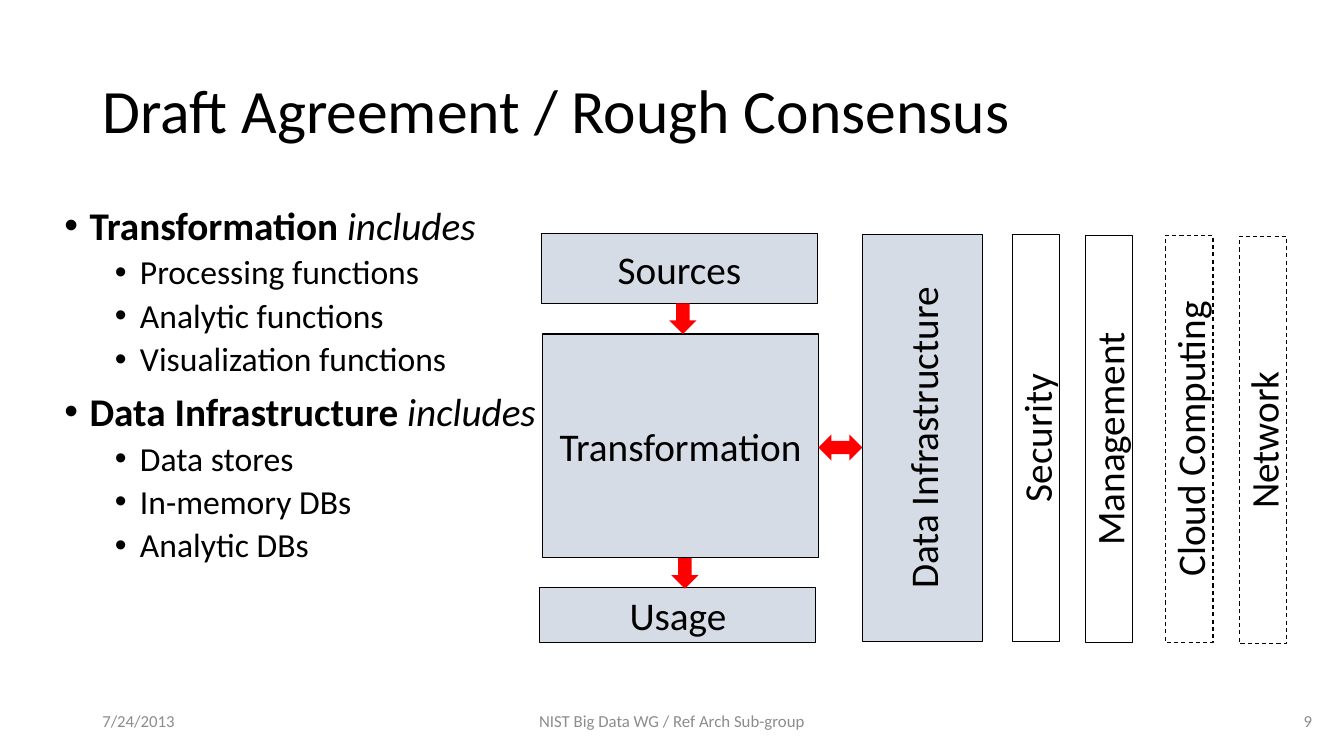
from lxml.etree import SubElement
from pptx import Presentation
from pptx.dml.color import RGBColor
from pptx.enum.dml import MSO_LINE
from pptx.enum.shapes import MSO_SHAPE
from pptx.enum.text import MSO_ANCHOR, PP_ALIGN
from pptx.oxml.ns import qn
from pptx.util import Pt

BLACK, GREY, RED, PALE_BLUE = "000000", "8C8C8C", "FF0000", "D6DCE5"

TOPICS = [
    ("Transformation ", ["Processing functions", "Analytic functions",
                         "Visualization functions"]),
    ("Data Infrastructure ", ["Data stores", "In-memory DBs", "Analytic DBs"]),
]


def color(hex_string):
    return RGBColor.from_string(hex_string)


def write(paragraph, text, size=28, ink=BLACK, bold=False, italic=False,
          align=PP_ALIGN.LEFT):
    paragraph.alignment = align
    run = paragraph.add_run()
    run.text = text
    font = run.font
    font.name, font.size = "Calibri", Pt(size)
    font.bold, font.italic = bold, italic
    font.color.rgb = color(ink)


def add_frame(slide, left, top, width, height, anchor=MSO_ANCHOR.MIDDLE):
    frame = slide.shapes.add_textbox(
        Pt(left), Pt(top), Pt(width), Pt(height)).text_frame
    frame.word_wrap = True
    frame.vertical_anchor = anchor
    return frame


def format_bullet(paragraph, level):
    paragraph.level = level
    paragraph.line_spacing = 0.9
    paragraph.space_before = Pt(5 if level else 10)
    properties = paragraph._p.get_or_add_pPr()
    properties.set("marL", str(Pt(18 + 36 * level)))
    properties.set("indent", str(Pt(-18)))
    SubElement(properties, qn("a:buFont"), typeface="Arial")
    SubElement(properties, qn("a:buChar"), char="•")


def add_topics(slide):
    frame = add_frame(slide, 38.9, 144, 408, 342.7, MSO_ANCHOR.TOP)
    paragraph = frame.paragraphs[0]
    for index, (topic, items) in enumerate(TOPICS):
        if index:
            paragraph = frame.add_paragraph()
        format_bullet(paragraph, 0)
        write(paragraph, topic, bold=True)
        write(paragraph, "includes", italic=True)
        for item in items:
            item_paragraph = frame.add_paragraph()
            format_bullet(item_paragraph, 1)
            write(item_paragraph, item, size=24)


def add_preset(slide, preset, left, top, width, height, fill=None):
    shape = slide.shapes.add_shape(
        preset, Pt(left), Pt(top), Pt(width), Pt(height))
    shape.shadow.inherit = False
    if fill:
        shape.fill.solid()
        shape.fill.fore_color.rgb = color(fill)
    else:
        shape.fill.background()
    return shape


def add_box(slide, label, left, top, width, height, fill=None, dashed=False):
    box = add_preset(slide, MSO_SHAPE.RECTANGLE, left, top, width, height, fill)
    box.line.color.rgb = color(BLACK)
    box.line.width = Pt(0.75)
    if dashed:
        box.line.dash_style = MSO_LINE.DASH
    box.text_frame.word_wrap = True
    box.text_frame.vertical_anchor = MSO_ANCHOR.MIDDLE
    write(box.text_frame.paragraphs[0], label, align=PP_ALIGN.CENTER)
    return box


def add_pillar(slide, label, left, top, width=33.8, **style):
    """Box that stands upright, read from bottom to top."""
    length = 290.9
    shift = (length - width) / 2
    pillar = add_box(slide, label, left - shift, top + shift, length, width,
                     **style)
    pillar.rotation = 270


def add_arrow(slide, preset, left, top, width, height):
    add_preset(slide, preset, left, top, width, height, RED).line.fill.background()


def main():
    presentation = Presentation()
    presentation.slide_width, presentation.slide_height = Pt(960), Pt(540)
    slide = presentation.slides.add_slide(presentation.slide_layouts[6])

    # Title and topics
    title = add_frame(slide, 66, 28.8, 828, 104.4).paragraphs[0]
    title.line_spacing = 0.9
    write(title, "Draft Agreement / Rough Consensus", size=44)
    add_topics(slide)

    # Footer
    for text, left, width, align in [
        ("7/24/2013", 66, 216, PP_ALIGN.LEFT),
        ("NIST Big Data WG / Ref Arch Sub-group", 318, 324, PP_ALIGN.CENTER),
        ("9", 714, 230.4, PP_ALIGN.RIGHT),
    ]:
        footer = add_frame(slide, left, 500.5, width, 28.8).paragraphs[0]
        write(footer, text, size=12, ink=GREY, align=align)

    # Data flow
    for stage, left, top, height in [
        ("Sources", 386.7, 167, 49.7),
        ("Transformation", 387.4, 238.6, 160),
        ("Usage", 385.6, 419.6, 39.4),
    ]:
        add_box(slide, stage, left, top, 197.3, height, fill=PALE_BLUE)

    # Pillars
    add_pillar(slide, "Data Infrastructure", 616, 167.4, 85.7, fill=PALE_BLUE)
    for pillar, left, top, dashed in [
        ("Security", 723.2, 167.4, False),
        ("Management", 775.1, 168.1, False),
        ("Cloud Computing", 832.7, 168.1, True),
        ("Network", 885.2, 168.8, True),
    ]:
        add_pillar(slide, pillar, left, top, dashed=dashed)

    # Arrows between the parts
    add_arrow(slide, MSO_SHAPE.DOWN_ARROW, 478.1, 216.7, 19.4, 21.9)
    add_arrow(slide, MSO_SHAPE.DOWN_ARROW, 479.5, 398.6, 19.4, 21.9)
    add_arrow(slide, MSO_SHAPE.LEFT_RIGHT_ARROW, 584.6, 310.3, 31.4, 18.7)

    presentation.save("out.pptx")


if __name__ == "__main__":
    main()
